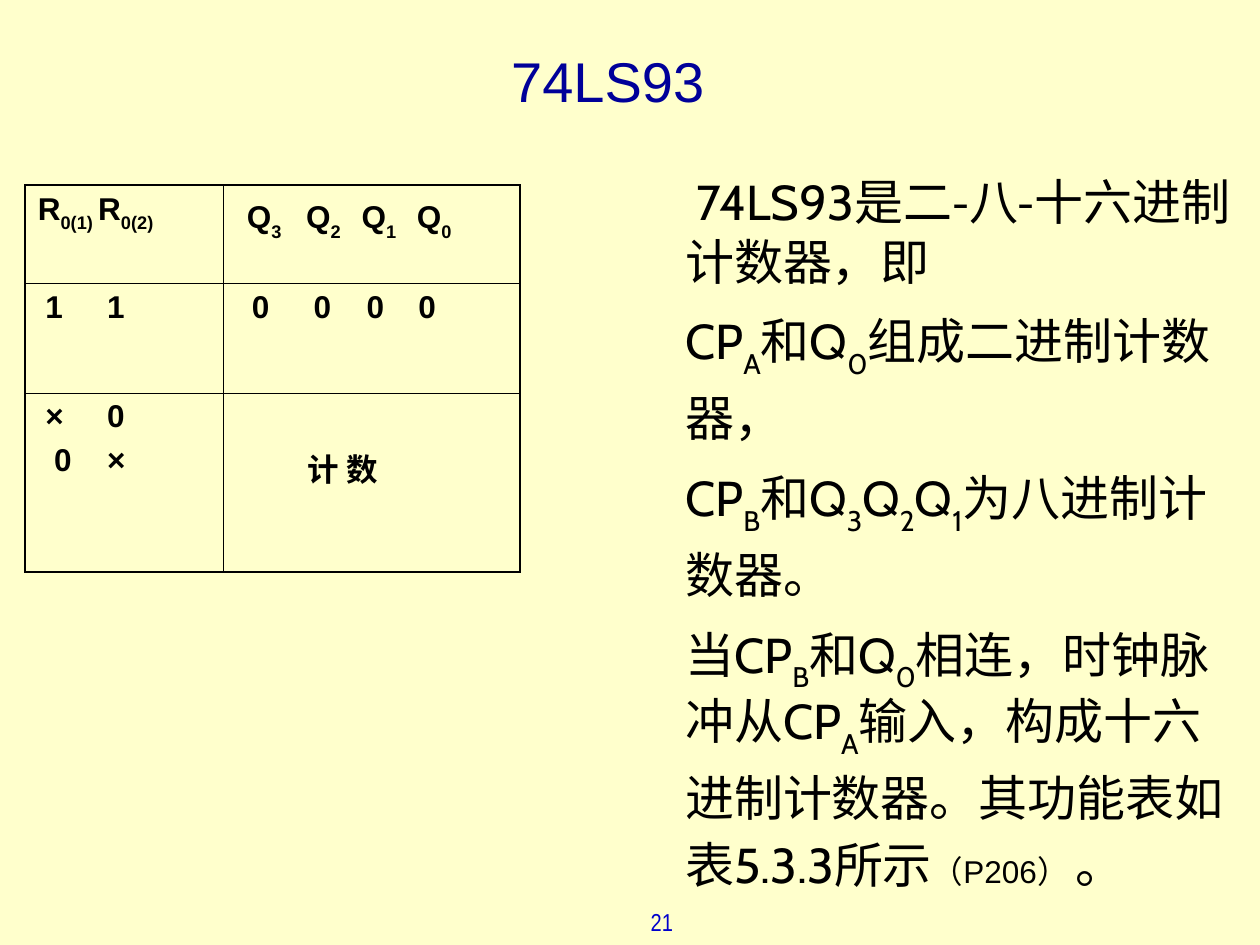
from itertools import groupby

from lxml import etree
from pptx import Presentation
from pptx import util as u
from pptx.dml.color import RGBColor
from pptx.enum import text
from pptx.oxml.ns import qn

CREAM = RGBColor(0xFF, 0xFF, 0xCC)
NAVY = RGBColor(0x00, 0x00, 0x99)
BLUE = RGBColor(0x00, 0x00, 0xCC)
BLACK = RGBColor(0x00, 0x00, 0x00)
HAN = "Noto Sans CJK SC"
COLUMNS, ROWS = 100, 75
THICK, THIN = 1.08, 0.45


def is_han(char):
    return char == "-" or ord(char) > 0x2E7F


class Sheet:
    """Holds the style and the current slide; lengths are grid columns and rows."""

    def __init__(self, deck):
        self.column = deck.slide_width / COLUMNS
        self.row = deck.slide_height / ROWS
        self.page = deck.slides.add_slide(deck.slide_layouts[6])
        fill = self.page.background.fill
        fill.solid()
        fill.fore_color.rgb = CREAM

    def across(self, columns):
        return u.Emu(round(columns * self.column))

    def down(self, rows):
        return u.Emu(round(rows * self.row))

    def span(self, para, words, size, font, color=BLACK, bold=False, lowered=False):
        span = para.add_run()
        span.text = words
        span.font.size = u.Pt(size)
        span.font.bold = bold
        span.font.name = font
        span.font.color.rgb = color
        props = span.font._element
        etree.SubElement(props, qn("a:ea")).set("typeface", HAN)
        if lowered:
            props.set("baseline", "-30000")

    def add_words(self, para, words, size, font, split=False, **style):
        """Words in [brackets] become subscripts; split gives Han its own font."""
        for index, part in enumerate(words.replace("]", "[").split("[")):
            pieces = groupby(part, is_han) if split else [(False, part)]
            for han, chars in pieces:
                piece = "".join(chars)
                if piece:
                    self.span(para, piece, size, HAN if han else font,
                              lowered=index % 2 == 1, **style)

    def text_box(self, left, top, width, height, anchor=text.MSO_ANCHOR.TOP):
        box = self.page.shapes.add_textbox(self.across(left), self.down(top),
                                           self.across(width), self.down(height))
        frame = box.text_frame
        frame.word_wrap = True
        frame.vertical_anchor = anchor
        return frame

    def label(self, place, words, size, font, color, align, anchor):
        frame = self.text_box(*place, anchor)
        para = frame.paragraphs[0]
        para.alignment = align
        self.add_words(para, words, size, font, color=color)
        return frame

    def body(self, place, paragraphs):
        """Each paragraph is its line pitch and its (words, size, font) pieces."""
        frame = self.text_box(*place)
        for index, (pitch, pieces) in enumerate(paragraphs):
            para = frame.add_paragraph() if index else frame.paragraphs[0]
            para.line_spacing = u.Pt(pitch)
            if index:
                para.space_before = u.Pt(13.5)
            for words, size, font in pieces:
                self.add_words(para, words, size, font, split=True)

    def tab_stops(self, para, stops):
        stop_list = etree.SubElement(para._p.get_or_add_pPr(), qn("a:tabLst"))
        for stop in stops:
            etree.SubElement(stop_list, qn("a:tab"), pos=str(self.across(stop)), algn="l")

    def borders(self, cell, widths):
        props = cell._tc.get_or_add_tcPr()
        for index, (side, width) in enumerate(zip(("lnL", "lnR", "lnT", "lnB"), widths)):
            line = etree.Element(qn(f"a:{side}"), w=str(u.Pt(width)))
            fill = etree.SubElement(line, qn("a:solidFill"))
            etree.SubElement(fill, qn("a:srgbClr"), val=str(BLACK))
            props.insert(index, line)

    def cell(self, cell, lines, left=1, top=0.5, stops=(), font="Arial"):
        cell.fill.background()
        cell.margin_left, cell.margin_top = self.across(left), self.down(top)
        frame = cell.text_frame
        for index, words in enumerate(lines):
            para = frame.add_paragraph() if index else frame.paragraphs[0]
            if stops:
                self.tab_stops(para, stops)
            if index:
                para.space_before = u.Pt(4.5)
            self.add_words(para, words, 18, font, bold=True)

    def table(self, left, top, widths, heights, contents):
        shape = self.page.shapes.add_table(
            len(heights), len(widths), self.across(left), self.down(top),
            self.across(sum(widths)), self.down(sum(heights)))
        table = shape.table
        table.first_row = table.horz_banding = False
        for column, width in zip(table.columns, widths):
            column.width = self.across(width)
        last_row, last_column = len(heights) - 1, len(widths) - 1
        for r, (height, cells) in enumerate(zip(heights, contents)):
            table.rows[r].height = self.down(height)
            for c, content in enumerate(cells):
                self.cell(table.cell(r, c), **content)
                edges = (c == 0, c == last_column, r == 0, r == last_row)
                self.borders(table.cell(r, c), [THICK if edge else THIN for edge in edges])


def main():
    deck = Presentation()
    deck.slide_width, deck.slide_height = u.Inches(10), u.Inches(7.5)
    sheet = Sheet(deck)

    sheet.label((45.4, 72, 9, 2.8), "21", 14, "Arial Narrow", BLUE,
                text.PP_ALIGN.RIGHT, text.MSO_ANCHOR.BOTTOM)
    title = sheet.label((5, 2.1, 90, 8.5), "74LS93", 32, "Arial", NAVY,
                        text.PP_ALIGN.CENTER, text.MSO_ANCHOR.MIDDLE)
    title.margin_right = sheet.across(4.5)

    def cabin(words):
        return words, 28, "Cabin"

    sheet.body((53.4, 13.1, 46.6, 58.3), [
        (34, [cabin(" 74LS93是二-八-十六进制计数器，即")]),
        (38, [cabin("CP[A]和Q[0]组成二进制计数器，")]),
        (38, [cabin("CP[B]和Q[3]Q[2]Q[1]为八进制计数器。")]),
        (38, [cabin("当CP[B]和Q[0]相连，时钟脉冲从CP[A]输入，"
                    "构成十六进制计数器。其功能表如表5.3.3所示"),
              ("（P206） ", 18, "Arial"), cabin("。")]),
    ])

    sheet.table(2, 14.7, (15.7, 23.6), (7.8, 8.7, 14.2), [
        [dict(lines=["R[0(1) ]R[0(2)]"]),
         dict(lines=["Q[3]\tQ[2]\tQ[1]\tQ[0]"], left=1.9, top=1.2, stops=(4.7, 9.1, 13.5))],
        [dict(lines=["1\t1"], left=1.6, stops=(4.9,)),
         dict(lines=["0\t0\t0\t0"], left=2.3, stops=(4.9, 9.1, 13.2))],
        [dict(lines=["×\t0", " 0\t×"], left=1.6, stops=(4.9,)),
         dict(lines=["计 数"], left=6.7, top=4.1, font="Times New Roman")],
    ])
    deck.save("out.pptx")


if __name__ == "__main__":
    main()
